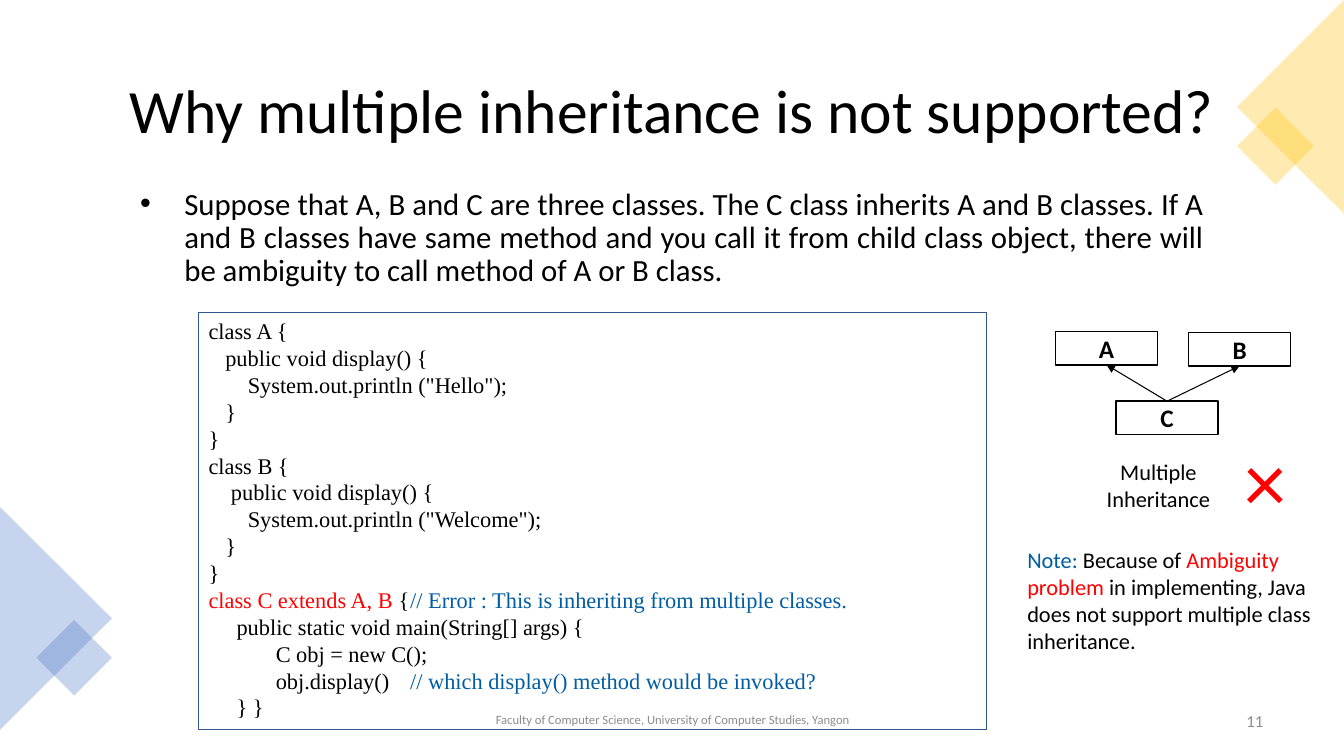
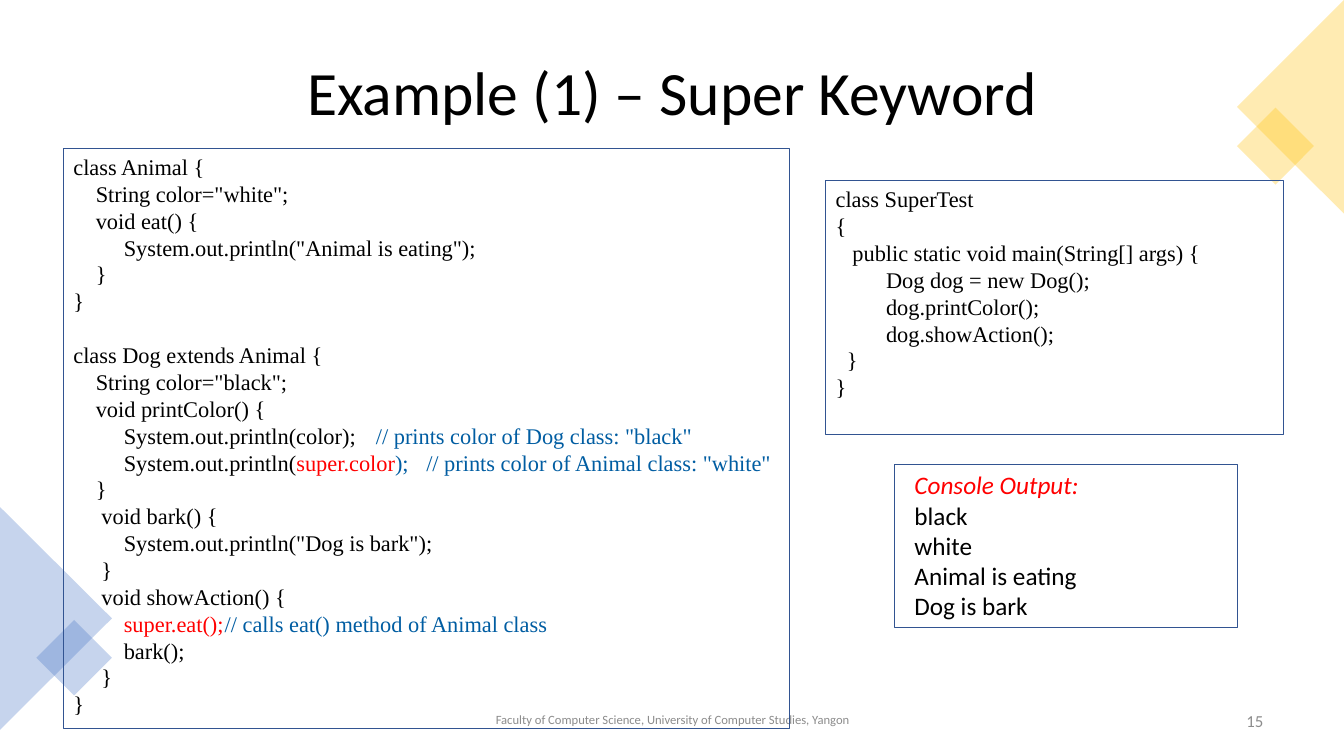
import dataclasses

import pptx
import pptx.dml.color
import pptx.enum.shapes
import pptx.enum.text
import pptx.oxml
import pptx.oxml.ns
import pptx.util
from lxml import etree

Inches = pptx.util.Inches
Pt = pptx.util.Pt
ALIGN = pptx.enum.text.PP_ALIGN
ANCHOR = pptx.enum.text.MSO_ANCHOR
SHAPE = pptx.enum.shapes.MSO_SHAPE

BLACK, RED, NOTE_BLUE, GRAY = "000000", "FF0000", "005DA2", "8C8C8C"
DECOR_BLUE, DECOR_GOLD, FRAME = "4472C4", "FFC000", "325491"
BODY_FONT, CODE_FONT = "Calibri", "Times New Roman"
CODE_SIZE, CODE_LEADING = 16, 19.2
SPACE_WIDTH = CODE_SIZE / 4
FOOTER = "Faculty of Computer Science, University of Computer Studies, Yangon"


@dataclasses.dataclass
class CodeLine:
    """One line of code: indent in spaces, tab stop in inches, gap in lines above."""
    indent: int
    runs: list
    tab: float = 0
    gap: int = 0


def rgb(color):
    return pptx.dml.color.RGBColor.from_string(color)


def add_child(parent, tag, **attributes):
    child = etree.SubElement(parent, pptx.oxml.ns.qn(tag))
    for name, value in attributes.items():
        child.set(name, str(value))
    return child


def write_runs(paragraph, runs, size, font=BODY_FONT, bold=False):
    """Each run is plain text in black or a pair of text and colour."""
    for item in runs:
        text, color = (item, BLACK) if isinstance(item, str) else item
        run = paragraph.add_run()
        run.text = text
        run.font.name = font
        run.font.size = Pt(size)
        run.font.bold = bold
        run.font.color.rgb = rgb(color)


def add_text(slide, box, runs, size, align=ALIGN.LEFT, anchor=ANCHOR.TOP, spacing=1.0):
    shape = slide.shapes.add_textbox(*map(Inches, box))
    frame = shape.text_frame
    frame.word_wrap = True
    frame.vertical_anchor = anchor
    paragraph = frame.paragraphs[0]
    paragraph.alignment = align
    paragraph.line_spacing = spacing
    write_runs(paragraph, runs, size)
    return paragraph


def add_frame(slide, box, color=FRAME, width=0.75, anchor=ANCHOR.TOP):
    """Adds an outlined rectangle without fill."""
    shape = slide.shapes.add_shape(SHAPE.RECTANGLE, *map(Inches, box))
    shape.shadow.inherit = False
    shape.fill.background()
    shape.line.color.rgb = rgb(color)
    shape.line.width = Pt(width)
    shape.text_frame.word_wrap = True
    shape.text_frame.vertical_anchor = anchor
    return shape


def paragraphs_for(frame, items):
    """Yields a left-aligned paragraph with each item."""
    for index, item in enumerate(items):
        paragraph = frame.add_paragraph() if index else frame.paragraphs[0]
        paragraph.alignment = ALIGN.LEFT
        yield paragraph, item


def add_code(slide, box, lines):
    frame = add_frame(slide, box).text_frame
    for paragraph, line in paragraphs_for(frame, lines):
        paragraph.line_spacing = Pt(CODE_LEADING)
        paragraph.space_before = Pt(line.gap * CODE_LEADING)
        properties = paragraph._p.get_or_add_pPr()
        properties.set("marL", "0")
        properties.set("indent", str(Pt(line.indent * SPACE_WIDTH)))
        if line.tab:
            tabs = add_child(properties, "a:tabLst")
            add_child(tabs, "a:tab", pos=Inches(line.tab), algn="l")
        write_runs(paragraph, line.runs, CODE_SIZE, CODE_FONT)


def add_decor(slide, kind, box, rotation, color):
    shape = slide.shapes.add_shape(kind, *map(Inches, box))
    shape.shadow.inherit = False
    shape.rotation = rotation
    shape.fill.solid()
    shape.fill.fore_color.rgb = rgb(color)
    color_node = shape.fill._xPr.find(".//" + pptx.oxml.ns.qn("a:srgbClr"))
    add_child(color_node, "a:alpha", val=30000)
    shape.line.fill.background()


def add_base_slide(presentation, title, title_height, number):
    """Adds a slide with corner decoration, footer, page number and title."""
    slide = presentation.slides.add_slide(presentation.slide_layouts[6])
    add_decor(slide, SHAPE.ISOSCELES_TRIANGLE, (-0.55, 5.58, 2.21, 1.11), 90, DECOR_BLUE)
    add_decor(slide, SHAPE.RECTANGLE, (0.47, 6.26, 0.53, 0.53), 45, DECOR_BLUE)
    add_decor(slide, SHAPE.RECTANGLE, (12.38, 1.18, 0.54, 0.54), 45, DECOR_GOLD)
    add_decor(slide, SHAPE.ISOSCELES_TRIANGLE, (11.74, 0.53, 2.12, 1.06), 270, DECOR_GOLD)
    footer = add_text(slide, (4.42, 6.95, 4.5, 0.4), [(FOOTER, GRAY)], 9,
                      ALIGN.CENTER, ANCHOR.MIDDLE, 0.9)
    page = add_text(slide, (9.63, 6.95, 3, 0.4), [(str(number), GRAY)], 12,
                    ALIGN.RIGHT, ANCHOR.MIDDLE)
    footer.space_after = page.space_after = Pt(6)
    add_text(slide, (0.92, 0.4, 11.5, title_height), [title], 44,
             ALIGN.CENTER, ANCHOR.MIDDLE, 0.9)
    return slide


def add_bullet(slide, box, text):
    paragraph = add_text(slide, box, [text], 22, ALIGN.JUSTIFY, spacing=0.9)
    paragraph.space_before = Pt(10)
    properties = paragraph._p.get_or_add_pPr()
    properties.set("marL", str(Inches(0.44)))
    properties.set("indent", str(Inches(-0.44)))
    add_child(properties, "a:buFont", typeface="Arial")
    add_child(properties, "a:buChar", char="•")


def add_class_box(slide, name, left, top):
    shape = add_frame(slide, (left, top, 1.01, 0.33), BLACK, 1, ANCHOR.MIDDLE)
    paragraph = shape.text_frame.paragraphs[0]
    paragraph.alignment = ALIGN.CENTER
    write_runs(paragraph, [name], 18, bold=True)
    return shape


def add_inheritance_arrow(slide, child, parent):
    """Draws an arrow from the top of the child to the bottom of the parent."""
    connector = slide.shapes.add_connector(
        pptx.enum.shapes.MSO_CONNECTOR.STRAIGHT, 0, 0, 0, 0)
    connector.begin_connect(child, 0)
    connector.end_connect(parent, 2)
    connector.line.color.rgb = rgb(BLACK)
    connector.line.width = Pt(0.75)
    add_child(connector.line._get_or_add_ln(), "a:tailEnd", type="triangle")
    add_child(connector._element.spPr, "a:effectLst")


def add_console(slide, box, heading, output):
    frame = add_frame(slide, box).text_frame
    frame.margin_left = Inches(0.2)
    for paragraph, item in paragraphs_for(frame, [(heading, RED), *output]):
        write_runs(paragraph, [item], 18)
    frame.paragraphs[0].runs[0].font.italic = True


def build_multiple_inheritance(presentation):
    slide = add_base_slide(presentation, "Why multiple inheritance is not supported?", 1.45, 11)
    add_bullet(slide, (1.29, 1.82, 10.75, 1.22),
               "Suppose that A, B and C are three classes. The C class inherits A and B "
               "classes. If A and B classes have same method and you call it from child "
               "class object, there will be ambiguity to call method of A or B class.")
    add_code(slide, (1.97, 3.1, 7.81, 4.14), [
        CodeLine(0, ["class A {"]),
        CodeLine(3, ["public void display() {"]),
        CodeLine(7, ['System.out.println ("Hello");']),
        CodeLine(3, ["}"]),
        CodeLine(0, ["}"]),
        CodeLine(0, ["class B {"]),
        CodeLine(4, ["public void display() {"]),
        CodeLine(7, ['System.out.println ("Welcome");']),
        CodeLine(3, ["}"]),
        CodeLine(0, ["}"]),
        CodeLine(0, [("class C extends A, B ", RED), "{\t",
                     ("// Error : This is inheriting from multiple classes.", NOTE_BLUE)], 2.21),
        CodeLine(5, ["public static void main(String[] args) {"]),
        CodeLine(12, ["C obj = new C();"]),
        CodeLine(12, ["obj.display()\t",
                      ("// which display() method would be invoked?", NOTE_BLUE)], 2.19),
        CodeLine(5, ["} }"]),
    ])
    class_a = add_class_box(slide, "A", 10.47, 3.29)
    class_b = add_class_box(slide, "B", 11.79, 3.3)
    class_c = add_class_box(slide, "C", 11.07, 3.98)
    for parent in (class_a, class_b):
        add_inheritance_arrow(slide, class_c, parent)
    add_text(slide, (10.56, 4.5, 1.86, 0.64), ["Multiple Inheritance"], 16, ALIGN.CENTER)
    add_text(slide, (12.24, 4.2, 0.73, 1.11), [("×", RED)], 60)
    add_text(slide, (10.09, 5.37, 3.15, 1.18), [
        ("Note: ", NOTE_BLUE), "Because of ", ("Ambiguity problem ", RED),
        "in implementing, Java does not support multiple class inheritance."], 16)


def build_super_keyword(presentation):
    slide = add_base_slide(presentation, "Example (1) – Super Keyword", 1.09, 15)
    add_code(slide, (0.63, 1.47, 7.2, 5.76), [
        CodeLine(0, ["class Animal {"]),
        CodeLine(4, ['String color="white";']),
        CodeLine(4, ["void eat() {"]),
        CodeLine(9, ['System.out.println("Animal is eating");']),
        CodeLine(4, ["}"]),
        CodeLine(0, ["}"]),
        CodeLine(0, ["class Dog extends Animal {"], gap=1),
        CodeLine(4, ['String color="black";']),
        CodeLine(4, ["void printColor() {"]),
        CodeLine(9, ["System.out.println(color);\t",
                     ('// prints color of Dog class: "black"', NOTE_BLUE)], 3.03),
        CodeLine(9, ["System.out.println(", ("super.color", RED),
                     (');\t// prints color of Animal class: "white"', NOTE_BLUE)], 3.5),
        CodeLine(4, ["}"]),
        CodeLine(5, ["void bark() {"]),
        CodeLine(9, ['System.out.println("Dog is bark");']),
        CodeLine(5, ["}"]),
        CodeLine(5, ["void showAction() {"]),
        CodeLine(9, [("super.eat();\t", RED),
                     ("// calls eat() method of Animal class", NOTE_BLUE)], 1.72),
        CodeLine(9, ["bark();"]),
        CodeLine(5, ["}"]),
        CodeLine(0, ["}"]),
    ])
    add_code(slide, (8.19, 1.79, 4.54, 2.52), [
        CodeLine(0, ["class SuperTest"]),
        CodeLine(0, ["{"]),
        CodeLine(3, ["public static void main(String[] args) {"]),
        CodeLine(9, ["Dog dog = new Dog();"]),
        CodeLine(9, ["dog.printColor();"]),
        CodeLine(9, ["dog.showAction();"]),
        CodeLine(2, ["}"]),
        CodeLine(0, ["}"]),
    ])
    add_console(slide, (8.87, 4.61, 3.4, 1.62), "Console Output:",
                ["black", "white", "Animal is eating", "Dog is bark"])


def main():
    presentation = pptx.Presentation()
    presentation.slide_width = Inches(13.33)
    presentation.slide_height = Inches(7.5)
    build_multiple_inheritance(presentation)
    build_super_keyword(presentation)
    presentation.save("out.pptx")


if __name__ == "__main__":
    main()
